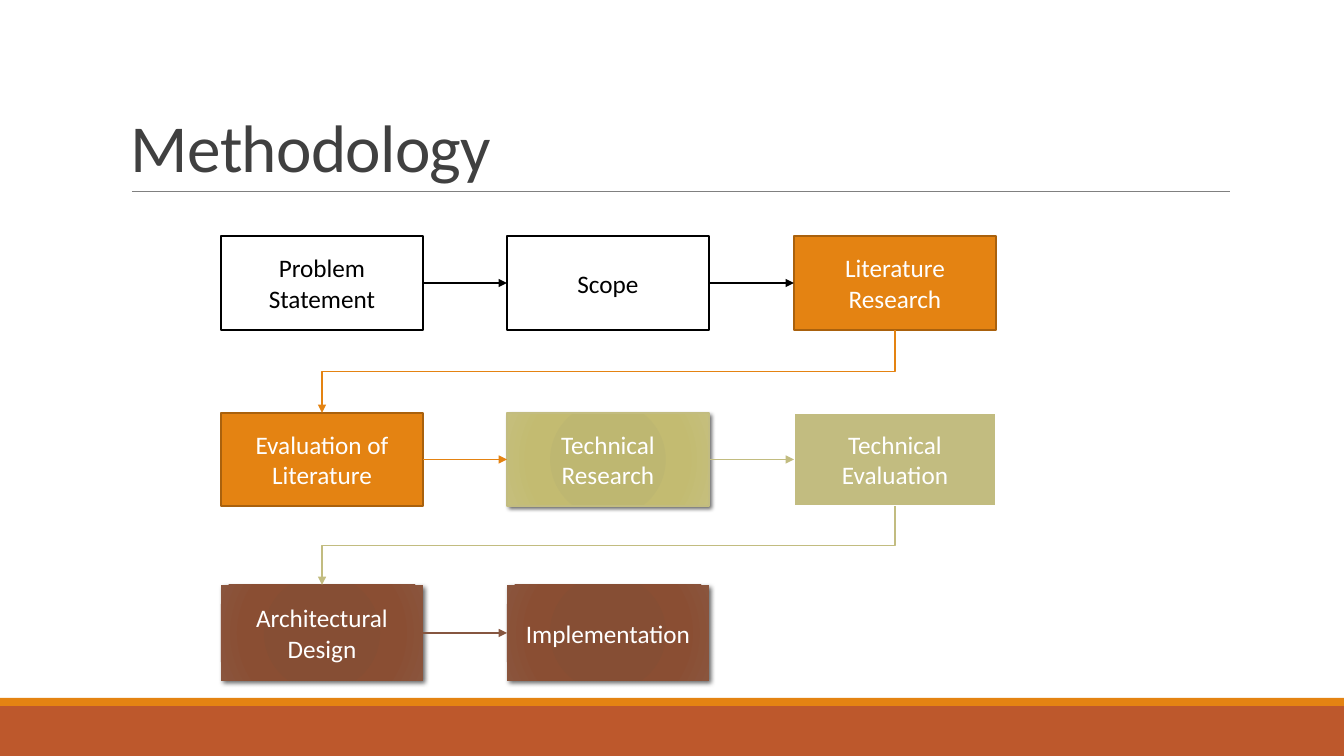
from pptx import Presentation
from pptx.dml.color import RGBColor
from pptx.enum.shapes import MSO_CONNECTOR, MSO_SHAPE
from pptx.enum.text import MSO_ANCHOR, PP_ALIGN
from pptx.oxml import parse_xml
from pptx.oxml.ns import nsdecls, qn
from pptx.util import Pt
from lxml.etree import SubElement

PX = 914400 / 100.8  # EMU in one px
COLORS = {
    "white": "FFFFFF", "black": "000000", "title": "404040", "rule": "808080",
    "rust": "BD582C", "orange": "E48312", "dark orange": "A9610D",
    "olive": "C2BC80", "brown": "865640",
}
GRADIENTS = {
    "olive": ["BEB76E", "BEB771", "C3BB71", "C5BF7D"],
    "brown": ["874C32", "864E34", "8A4E33", "8A553D"],
}
STOPS = [0, 34, 70, 100]


def px(*lengths):
    return [round(length * PX) for length in lengths]


def write(shape, text, size, color, align):
    shape.text_frame.word_wrap = True
    para = shape.text_frame.paragraphs[0]
    para.alignment = align
    span = para.add_run()
    span.text = text
    for name, value in {"name": "Calibri", "size": Pt(size)}.items():
        setattr(span.font, name, value)
    span.font.color.rgb = RGBColor.from_string(COLORS[color])
    return para, span


deck = Presentation()
deck.slide_width, deck.slide_height = px(1344, 756)
page = deck.slides.add_slide(deck.slide_layouts[6])

# Footer bands
for top, height, color in [(706, 50, "rust"), (698, 8, "orange")]:
    band = page.shapes.add_shape(MSO_SHAPE.RECTANGLE, *px(0, top, 1344, height))
    band.shadow.inherit = False
    band.fill.solid()
    band.fill.fore_color.rgb = RGBColor.from_string(COLORS[color])
    band.line.fill.background()

# Title
title = page.shapes.add_textbox(*px(121, 31, 1109, 160))
title.text_frame.vertical_anchor = MSO_ANCHOR.BOTTOM
para, span = write(title, "Methodology", 48, "title", PP_ALIGN.LEFT)
para.line_spacing = 0.85
span.font._element.set("spc", "-50")

# Step boxes: text, column, row, fill, line, line width, text colour, shadow blur
COLUMNS = [221, 507, 794]
ROWS = [(236, 94), (413, 93), (585, 96)]
STEPS = [
    ("Problem Statement", 0, 0, "white", "black", 1.25, "black", 0),
    ("Scope", 1, 0, "white", "black", 1.25, "black", 0),
    ("Literature Research", 2, 0, "orange", "dark orange", 1.25, "white", 0),
    ("Evaluation of Literature", 0, 1, "orange", "dark orange", 1.25, "white", 0),
    ("Technical Research", 1, 1, "olive", "olive", 1, "white", 3),
    ("Technical Evaluation", 2, 1, "olive", "white", 2, "white", 0),
    ("Architectural Design", 0, 2, "brown", None, 0, "white", 3.5),
    ("Implementation", 1, 2, "brown", None, 0, "white", 3.5),
]
boxes = []
for text, column, row, fill, line, width, color, blur in STEPS:
    top, height = ROWS[row]
    box = page.shapes.add_shape(
        MSO_SHAPE.RECTANGLE, *px(COLUMNS[column], top, 202, height))
    box.shadow.inherit = False
    box.fill.solid()
    box.fill.fore_color.rgb = RGBColor.from_string(COLORS[fill])
    if line:
        box.line.color.rgb = RGBColor.from_string(COLORS[line])
        box.line.width = Pt(width)
    else:
        box.line.fill.background()
    box.text_frame.vertical_anchor = MSO_ANCHOR.MIDDLE
    write(box, text, 18, color, PP_ALIGN.CENTER)
    boxes.append(box)

    # Raised boxes have a radial gradient and a soft shadow
    if blur:
        properties = box._element.spPr
        stops = "".join(
            f'<a:gs pos="{stop * 1000}"><a:srgbClr val="{shade}"/></a:gs>'
            for stop, shade in zip(STOPS, GRADIENTS[fill]))
        gradient = parse_xml(
            f'<a:gradFill {nsdecls("a")} rotWithShape="1"><a:gsLst>{stops}</a:gsLst>'
            '<a:path path="circle"><a:fillToRect l="100000" t="100000" '
            'r="100000" b="100000"/></a:path></a:gradFill>')
        properties.replace(properties.find(qn("a:solidFill")), gradient)
        properties.find(qn("a:effectLst")).append(parse_xml(
            f'<a:outerShdw {nsdecls("a")} blurRad="{Pt(blur)}" dist="{Pt(2)}" '
            'dir="2700000" algn="tl" rotWithShape="0"><a:srgbClr val="000000">'
            '<a:alpha val="60000"/></a:srgbClr></a:outerShdw>'))

# Title rule
rule = page.shapes.add_connector(MSO_CONNECTOR.STRAIGHT, *px(132, 191, 1230, 191))
rule.line.color.rgb = RGBColor.from_string(COLORS["rule"])
rule.line.width = Pt(0.5)
SubElement(rule._element.spPr, qn("a:effectLst"))

# Arrows from each step to the next
ARROW_COLORS = ["black", "black", "orange", "orange", "olive", "olive", "brown"]
for start, end, color in zip(boxes, boxes[1:], ARROW_COLORS):
    wraps = end.left < start.left
    kind = MSO_CONNECTOR.ELBOW if wraps else MSO_CONNECTOR.STRAIGHT
    arrow = page.shapes.add_connector(kind, 0, 0, 0, 0)
    arrow.begin_connect(start, 2 if wraps else 3)
    arrow.end_connect(end, 0 if wraps else 1)
    if wraps:
        # A quarter turn makes the elbow leave downwards
        across, down = arrow.width, arrow.height
        middle_x, middle_y = arrow.left + across // 2, arrow.top + down // 2
        frame = arrow._element.spPr.find(qn("a:xfrm"))
        frame.attrib.clear()
        frame.set("rot", "5400000")
        arrow.left, arrow.top = middle_x - down // 2, middle_y - across // 2
        arrow.width, arrow.height = down, across
    arrow.line.color.rgb = RGBColor.from_string(COLORS[color])
    arrow.line.width = Pt(1)
    SubElement(arrow.line._get_or_add_ln(), qn("a:tailEnd"), type="triangle")
    SubElement(arrow._element.spPr, qn("a:effectLst"))

deck.save("out.pptx")
